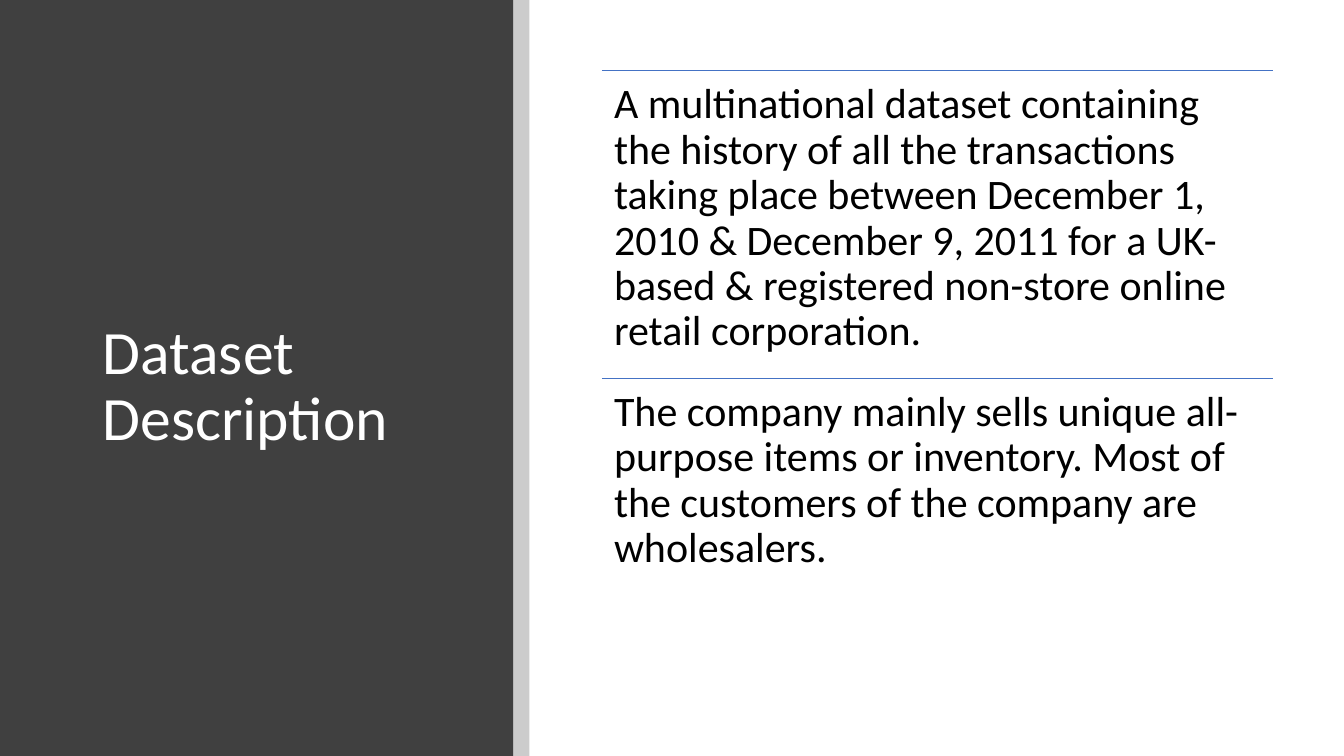
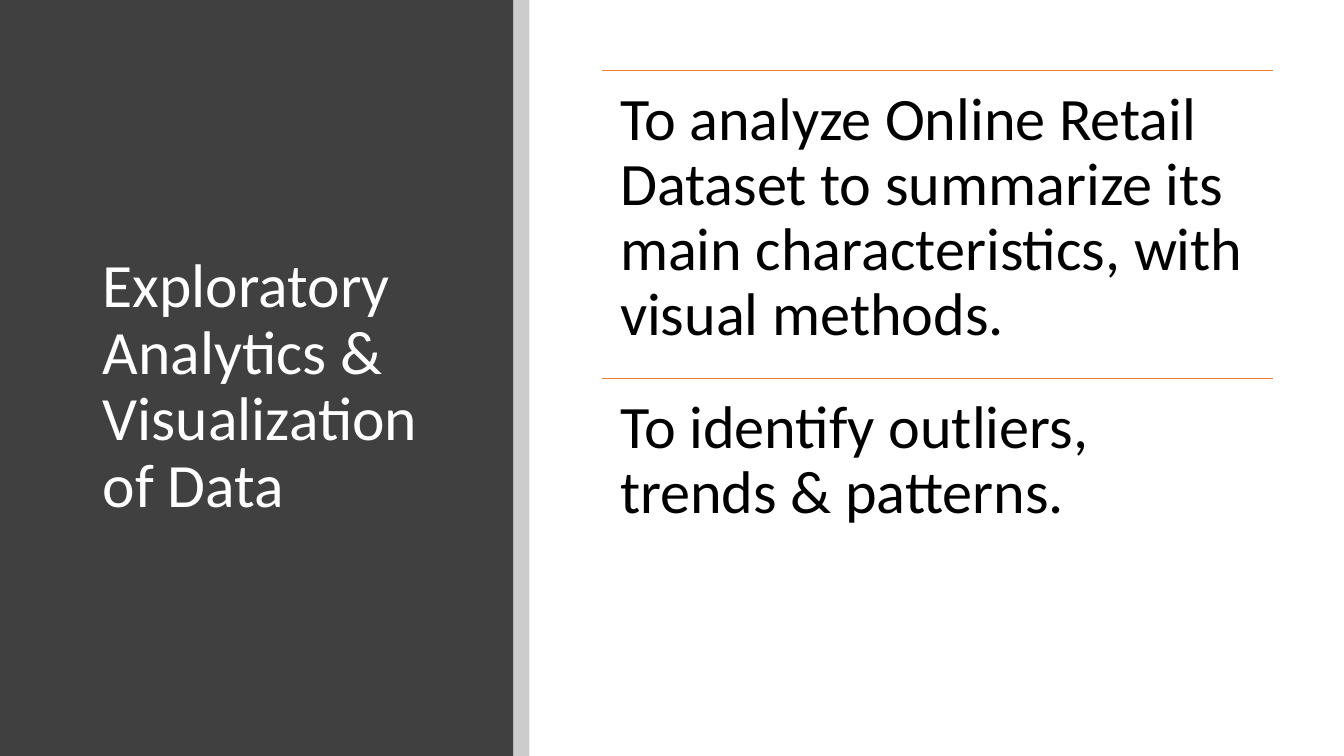
from lxml.etree import SubElement
from pptx import Presentation
from pptx.dml.color import RGBColor
from pptx.enum.shapes import MSO_CONNECTOR, MSO_SHAPE
from pptx.enum.text import MSO_ANCHOR
from pptx.oxml.ns import qn
from pptx.util import Inches, Pt

# Shared look
FONT = "Calibri"
DARK = RGBColor(0x40, 0x40, 0x40)
BLACK = RGBColor(0, 0, 0)
WHITE = RGBColor(0xFF, 0xFF, 0xFF)
BLUE = RGBColor(0x44, 0x72, 0xC4)
ORANGE = RGBColor(0xED, 0x7D, 0x31)

# Slide size and grid, in inches
WIDE, HIGH = 13.33, 7.5
SIDE, STRIP = 5.09, 0.16
LEFT, TOP, SPAN, ROW = 5.97, 0.7, 6.66, 3.05

# Title, line colour, text size, text inset, row texts
PAGES = [
    ("Dataset Description", BLUE, 30, 0.12, [
        "A multinational dataset containing the history of all the "
        "transactions taking place between December 1, 2010 & December 9, "
        "2011 for a UK-based & registered non-store online retail "
        "corporation.",
        "The company mainly sells unique all-purpose items or inventory. "
        "Most of the customers of the company are wholesalers.",
    ]),
    ("Exploratory Analytics & Visualization of Data", ORANGE, 43, 0.18, [
        "To analyze Online Retail Dataset to summarize its main "
        "characteristics, with visual methods.",
        "To identify outliers, trends & patterns.",
    ]),
]


def add_band(slide, left, width, color, alpha=100):
    """Draw a full-height band; alpha is its opacity in percent."""
    band = slide.shapes.add_shape(
        MSO_SHAPE.RECTANGLE, Inches(left), 0, Inches(width), Inches(HIGH))
    band.shadow.inherit = False
    band.line.fill.background()
    band.fill.solid()
    band.fill.fore_color.rgb = color
    if alpha < 100:
        tint = band.fill._xPr.find(".//" + qn("a:srgbClr"))
        SubElement(tint, qn("a:alpha"), val=str(alpha * 1000))


def add_text(slide, area, text, size, color, inset, anchor):
    box = slide.shapes.add_textbox(*map(Inches, area))
    frame = box.text_frame
    frame.word_wrap = True
    frame.vertical_anchor = anchor
    frame.margin_left = frame.margin_right = Inches(inset)
    frame.margin_top = frame.margin_bottom = Inches(inset)
    para = frame.paragraphs[0]
    para.text = text
    para.line_spacing = 0.9
    para.font.name = FONT
    para.font.size = Pt(size)
    para.font.color.rgb = color


def add_rule(slide, top, color):
    rule = slide.shapes.add_connector(
        MSO_CONNECTOR.STRAIGHT, Inches(LEFT), Inches(top),
        Inches(LEFT + SPAN), Inches(top))
    rule.line.color.rgb = color
    rule.line.width = Pt(0.5)
    SubElement(rule._element.spPr, qn("a:effectLst"))


def add_page(deck, title, color, size, inset, rows):
    slide = deck.slides.add_slide(deck.slide_layouts[6])

    # Side panel and title
    add_band(slide, 0, SIDE, DARK)
    add_band(slide, SIDE, STRIP, BLACK, alpha=20)
    add_text(slide, (0.92, 0.89, 3.65, 5.91), title, 44, WHITE, 0.1,
             MSO_ANCHOR.MIDDLE)

    # Ruled rows
    for index, text in enumerate(rows):
        top = TOP + index * ROW
        add_rule(slide, top, color)
        add_text(slide, (LEFT, top, SPAN, ROW), text, size, BLACK, inset,
                 MSO_ANCHOR.TOP)


def main():
    deck = Presentation()
    deck.slide_width, deck.slide_height = Inches(WIDE), Inches(HIGH)
    for page in PAGES:
        add_page(deck, *page)
    deck.save("out.pptx")


if __name__ == "__main__":
    main()
